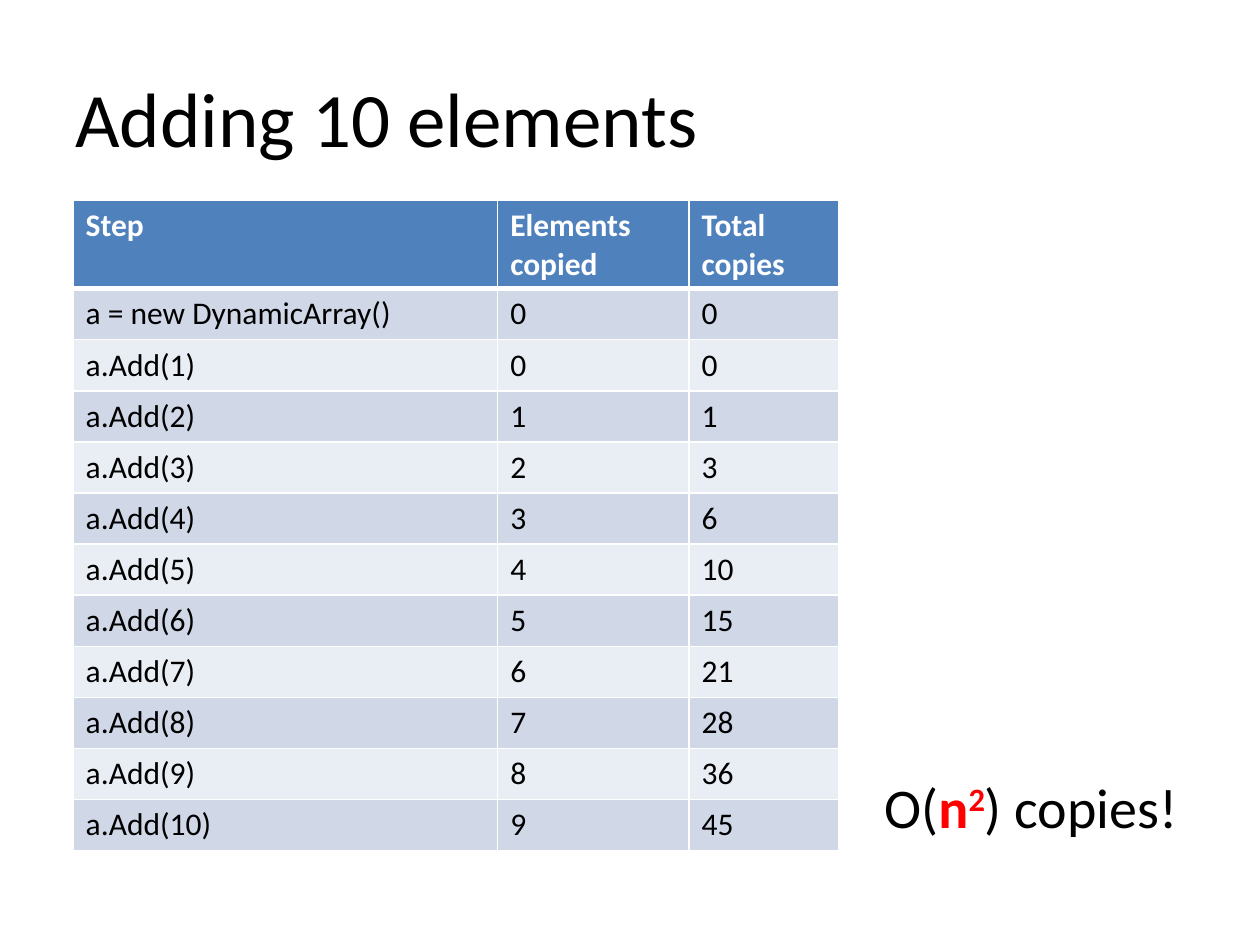
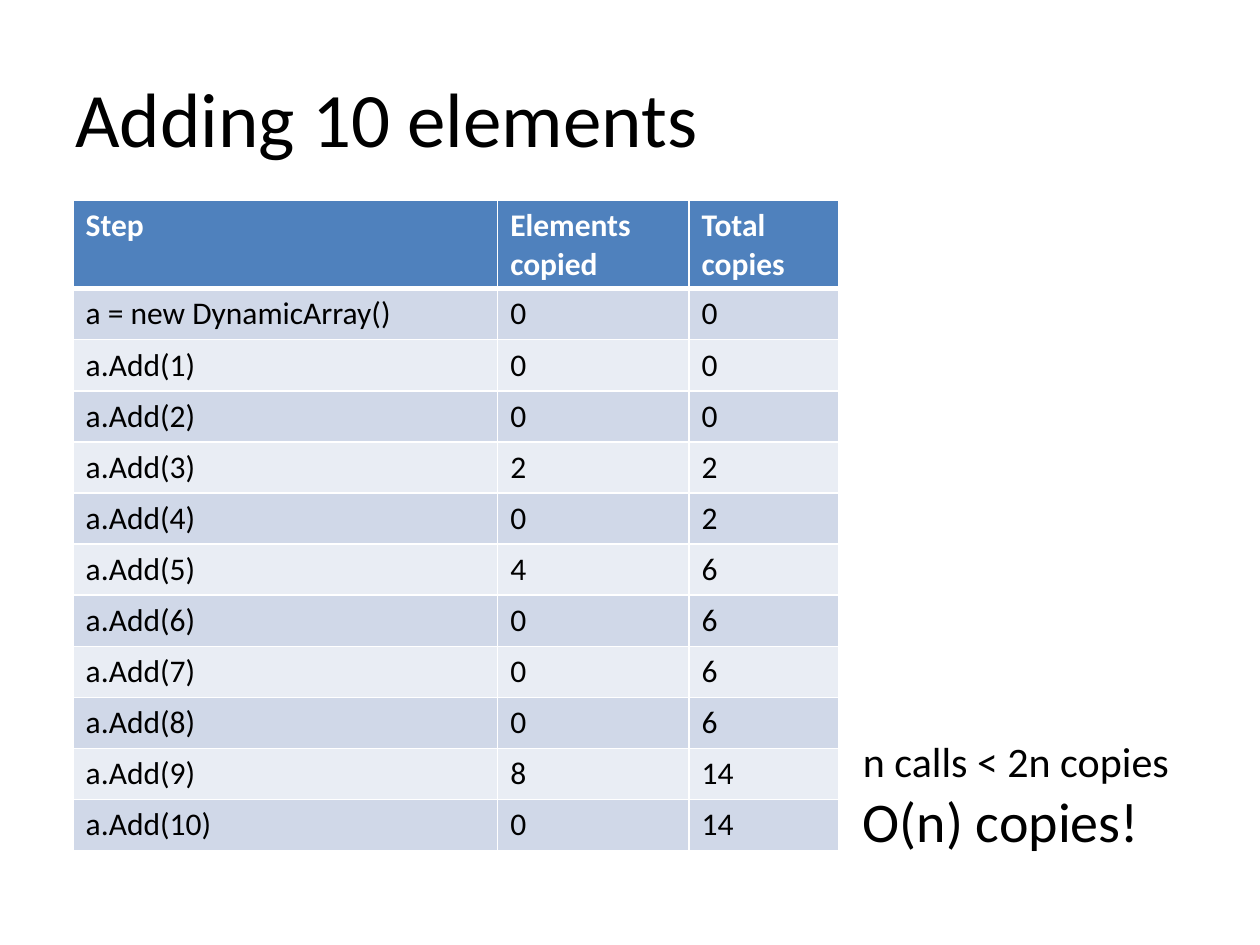
import itertools

import pptx
import pptx.dml.color
import pptx.enum.text
import pptx.oxml.ns
import pptx.util
from lxml import etree

Pt = pptx.util.Pt
FONT = "Calibri"
COLORS = {
    "text": "000000",
    "accent": "FF0000",
    "header": "4F81BD",
    "header_text": "FFFFFF",
    "odd_row": "D0D8E8",
    "even_row": "E9EDF4",
    "rule": "FFFFFF",
}

# Boxes are left, top, width, height in points.
TITLE_BOX = (36, 21.6, 648, 90)
TABLE_BOX = (41.76, 114.48, 437.76, 371.6)
COLUMN_WIDTHS = (242.64, 109.44, 85.68)
HEADER_HEIGHT = 50.4
HEADER_RULE = 3
ROW_RULE = 1

HEADINGS = (("Step",), ("Elements", "copied"), ("Total", "copies"))
STEPS = ["a = new DynamicArray()"] + [f"a.Add({n})" for n in range(1, 11)]
GROW_BY_ONE_COPIES = [0, *range(10)]
DOUBLING_COPIES = [0, 0, 0, 2, 0, 4, 0, 0, 0, 8, 0]


def rgb(name):
    return pptx.dml.color.RGBColor.from_string(COLORS[name])


def add_span(para, text, size, color="text", bold=False, raised=False):
    span = para.add_run()
    span.text = text
    span.font.name = FONT
    span.font.size = Pt(size)
    span.font.bold = bold
    span.font.color.rgb = rgb(color)
    if raised:
        span._r.get_or_add_rPr().set("baseline", "30000")


def fill_text(frame, paragraphs):
    """Write paragraphs, each a list of add_span argument dicts."""
    for index, spans in enumerate(paragraphs):
        para = frame.paragraphs[0] if index == 0 else frame.add_paragraph()
        for span in spans:
            add_span(para, **span)


def add_text(page, box, paragraphs, wrap=True, anchor="TOP", grow=False):
    frame = page.shapes.add_textbox(*map(Pt, box)).text_frame
    frame.word_wrap = wrap
    frame.vertical_anchor = pptx.enum.text.MSO_ANCHOR[anchor]
    if grow:
        frame.auto_size = pptx.enum.text.MSO_AUTO_SIZE.SHAPE_TO_FIT_TEXT
    fill_text(frame, paragraphs)


def add_title(page, box, text):
    add_text(page, box, [[dict(text=text, size=44)]], anchor="MIDDLE")


def set_borders(cell, top, bottom):
    """Rule all four sides; the lines must precede the fill in the cell XML."""
    qn = pptx.oxml.ns.qn
    properties = cell._tc.get_or_add_tcPr()
    widths = {"a:lnL": ROW_RULE, "a:lnR": ROW_RULE, "a:lnT": top, "a:lnB": bottom}
    for index, (tag, width) in enumerate(widths.items()):
        line = etree.Element(qn(tag), w=str(Pt(width)))
        fill = etree.SubElement(line, qn("a:solidFill"))
        etree.SubElement(fill, qn("a:srgbClr"), val=COLORS["rule"])
        properties.insert(index, line)


def add_copy_table(page, box, copies):
    """Table of steps, elements copied at each step and the running total."""
    totals = itertools.accumulate(copies)
    body = [[(str(value),) for value in row] for row in zip(STEPS, copies, totals)]
    rows = [HEADINGS, *body]
    table = page.shapes.add_table(len(rows), len(HEADINGS), *map(Pt, box)).table
    for column, width in zip(table.columns, COLUMN_WIDTHS):
        column.width = Pt(width)
    row_height = (box[3] - HEADER_HEIGHT) / len(body)

    for r, row in enumerate(rows):
        is_header = r == 0
        table.rows[r].height = Pt(HEADER_HEIGHT if is_header else row_height)
        fill = "header" if is_header else "odd_row" if r % 2 else "even_row"
        color = "header_text" if is_header else "text"
        for c, lines in enumerate(row):
            cell = table.cell(r, c)
            cell.fill.solid()
            cell.fill.fore_color.rgb = rgb(fill)
            set_borders(
                cell,
                top=HEADER_RULE if r == 1 else ROW_RULE,
                bottom=HEADER_RULE if is_header else ROW_RULE,
            )
            fill_text(cell.text_frame, [
                [dict(text=line, size=18, color=color, bold=is_header)]
                for line in lines
            ])


def add_cost_page(deck, copies, verdict_box, verdict, wrap):
    page = deck.slides.add_slide(deck.slide_layouts[6])
    add_title(page, TITLE_BOX, "Adding 10 elements")
    add_copy_table(page, TABLE_BOX, copies)
    add_text(page, verdict_box, verdict, wrap=wrap, grow=True)


def main():
    deck = pptx.Presentation()
    deck.slide_width, deck.slide_height = Pt(720), Pt(540)
    quadratic = [[
        dict(text="O(", size=32),
        dict(text="n", size=32, color="accent", bold=True),
        dict(text="2", size=32, color="accent", bold=True, raised=True),
        dict(text=") copies!", size=32),
    ]]
    linear = [
        [dict(text="n calls < 2n copies", size=24)],
        [dict(text="O(n) copies!", size=32)],
    ]
    add_cost_page(deck, GROW_BY_ONE_COPIES, (498.24, 437.76, 190.8, 46.08),
                  quadratic, wrap=False)
    add_cost_page(deck, DOUBLING_COPIES, (486, 416.88, 216, 74.88),
                  linear, wrap=True)
    deck.save("out.pptx")


if __name__ == "__main__":
    main()
